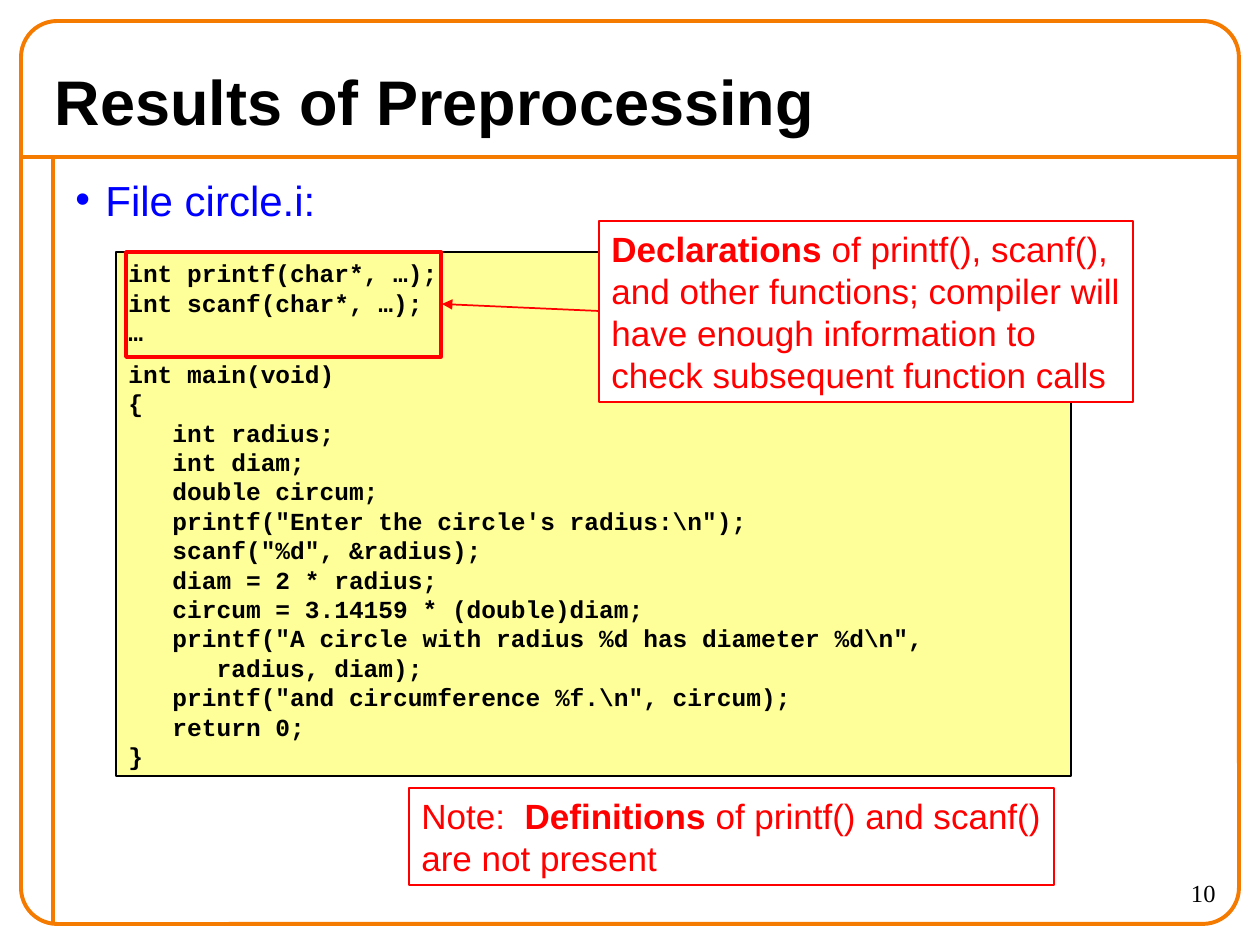
import copy
import pptx
import pptx.util
import pptx.dml.color
import pptx.enum.shapes
import pptx.enum.text
import pptx.oxml
import pptx.oxml.ns

PX = 914400 / 126
HUES = {"orange": "F47A00", "blue": "0000FF", "red": "FF0000",
        "black": "000000", "white": "FFFFFF", "yellow": "FFFF99"}
SHAPE = pptx.enum.shapes.MSO_SHAPE
ALIGN = pptx.enum.text.PP_ALIGN
ANCHOR = pptx.enum.text.MSO_ANCHOR

TITLE = [[("Results of Preprocessing", True)]]
BULLET = [[("File circle.i:", False)]]
NUMBER = [[("10", False)]]
HEADER = """int printf(char*, …);
int scanf(char*, …);
…"""
MAIN = r"""int main(void)
{
   int radius;
   int diam;
   double circum;
   printf("Enter the circle's radius:\n");
   scanf("%d", &radius);
   diam = 2 * radius;
   circum = 3.14159 * (double)diam;
   printf("A circle with radius %d has diameter %d\n",
      radius, diam);
   printf("and circumference %f.\n", circum);
   return 0;
}"""
CODE = [[(HEADER, True)], [(MAIN, True)]]
NOTES = [
    ((599, 221, 534, 181), [
        [("Declarations", True), (" of printf(), scanf(),", False)],
        [("and other functions; compiler will", False)],
        [("have enough information to", False)],
        [("check subsequent function calls", False)]]),
    ((409, 788, 645, 97), [
        [("Note:", False), ("  Definitions", True),
         (" of printf() and scanf()", False)],
        [("are not present", False)]]),
]
RULES = [((21, 157), (1239, 157)), ((53, 157), (53, 924))]


def emu(*vals):
    return [round(v * PX) for v in vals]


def rgb(hue):
    return pptx.dml.color.RGBColor.from_string(HUES[hue])


def put(parent, tag, **attrs):
    node = pptx.oxml.parse_xml(f"<a:{tag} {pptx.oxml.ns.nsdecls('a')}/>")
    for key, val in attrs.items():
        node.set(key, val)
    parent.append(node)
    return node


def style(font, size, face, hue, bold):
    font.size = pptx.util.Pt(size)
    font.name = face
    font.bold = bold
    font.color.rgb = rgb(hue)


def write(shape, text, size=20, face="Arial", hue="black", align=ALIGN.LEFT,
          anchor=ANCHOR.TOP, before=0, wrap=True):
    frame = shape.text_frame
    frame.word_wrap = wrap
    frame.auto_size = pptx.enum.text.MSO_AUTO_SIZE.NONE
    frame.vertical_anchor = anchor
    for i, parts in enumerate(text):
        para = frame.paragraphs[0] if i == 0 else frame.add_paragraph()
        para.alignment = align
        para.space_before = pptx.util.Pt(before)
        para.line_spacing = 1.0
        for words, bold in parts:
            for j, line in enumerate(words.split("\n")):
                if j:
                    para.add_line_break()
                run = para.add_run()
                run.text = line
                style(run.font, size, face, hue, bold)
        for gap in para._p.findall(pptx.oxml.ns.qn("a:br")):
            props = copy.deepcopy(run.font._element)
            props.find(pptx.oxml.ns.qn("a:latin")).set("typeface", "Arial")
            gap.append(props)
    return shape


def box(at, kind=SHAPE.RECTANGLE, fill=None, line="red", width=1):
    shape = slide.shapes.add_shape(kind, *emu(*at))
    shape.shadow.inherit = False
    if fill:
        shape.fill.solid()
        shape.fill.fore_color.rgb = rgb(fill)
    else:
        shape.fill.background()
    shape.line.color.rgb = rgb(line)
    shape.line.width = pptx.util.Pt(width)
    return shape


def rule(start, end, hue, width, head=False):
    link = slide.shapes.add_connector(
        pptx.enum.shapes.MSO_CONNECTOR.STRAIGHT, *emu(*start, *end))
    link.line.color.rgb = rgb(hue)
    link.line.width = pptx.util.Pt(width)
    if head:
        put(link.line._get_or_add_ln(), "tailEnd", type="triangle",
            w="med", len="med")
    put(link._element.spPr, "effectLst")


deck = pptx.Presentation()
deck.slide_width, deck.slide_height = emu(1260, 945)
slide = deck.slides.add_slide(deck.slide_layouts[5])

for start, end in RULES:
    rule(start, end, "orange", 2.25)
frame = box((21, 21, 1218, 903), SHAPE.ROUNDED_RECTANGLE,
            line="orange", width=2.25)
frame.adjustments[0] = 0.04

title = slide.shapes.title
title.left, title.top, title.width, title.height = emu(42, 53, 1176, 94)
write(title, TITLE, size=36, anchor=ANCHOR.MIDDLE)

number = slide.shapes.add_textbox(*emu(1102, 872, 126, 53))
write(number, NUMBER, size=14, face="Times New Roman", align=ALIGN.RIGHT)

body = slide.shapes.add_textbox(*emu(63, 168, 1166, 756))
write(body, BULLET, size=24, hue="blue", before=12)
props = body.text_frame.paragraphs[0]._p.get_or_add_pPr()
inset = emu(30)[0]
props.set("marL", str(inset))
props.set("indent", str(-inset))
put(put(props, "buClr"), "srgbClr", val=HUES["blue"])
put(props, "buFont", typeface="Arial")
put(props, "buChar", char="•")

code = box((116, 252, 955, 524), fill="yellow", line="black")
write(code, CODE, size=14, face="Courier New", before=7)

for at, text in NOTES:
    write(box(at, fill="white"), text, hue="red", anchor=ANCHOR.MIDDLE,
          wrap=False)
rule((599, 311), (442, 304), "red", 1, head=True)
box((126, 252, 315, 105), width=2)

deck.save("out.pptx")
